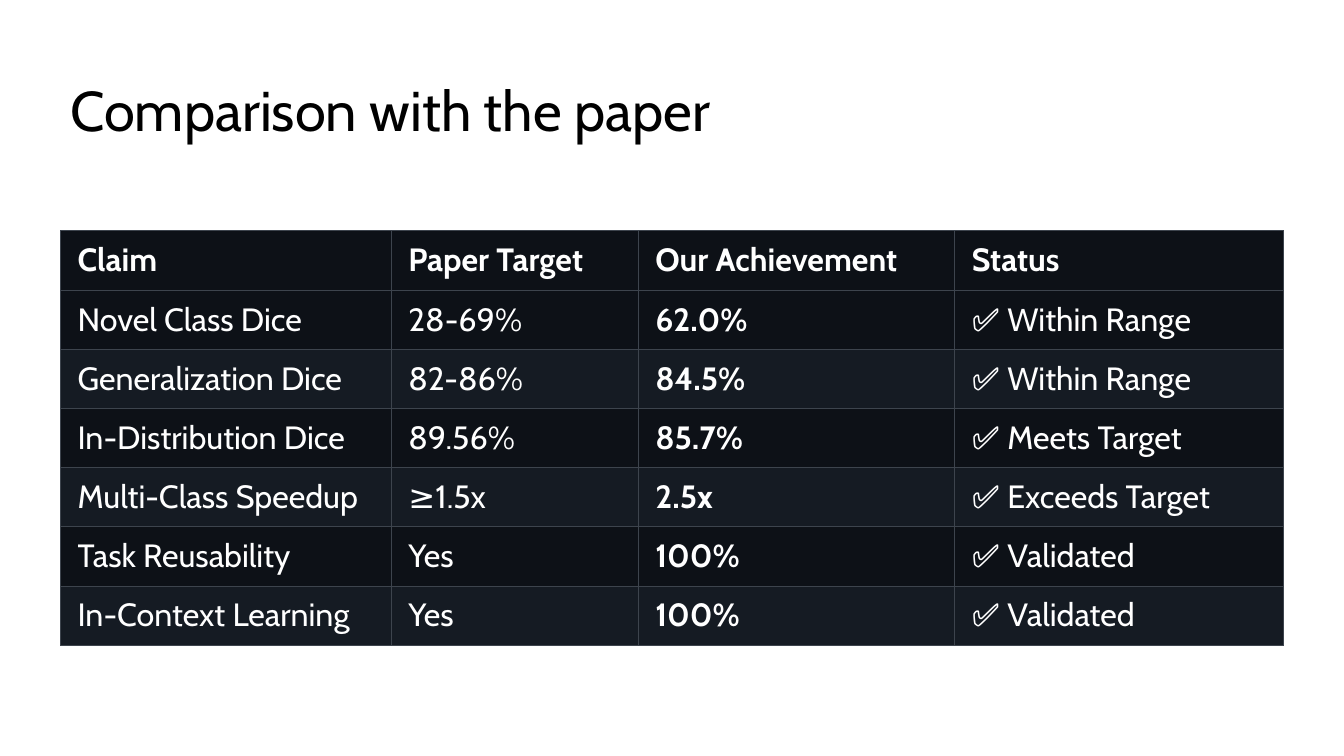
"""Build the slide that compares our results with the paper."""
from lxml import etree
from pptx import Presentation
from pptx.dml.color import RGBColor
from pptx.enum import text as t
from pptx.oxml import ns
from pptx.util import Inches, Pt

TITLE = "Comparison with the paper"
ROWS = [
    ("Claim", "Paper Target", "Our Achievement", "Status"),
    ("Novel Class Dice", "28-69%", "62.0%", "✅ Within Range"),
    ("Generalization Dice", "82-86%", "84.5%", "✅ Within Range"),
    ("In-Distribution Dice", "89.56%", "85.7%", "✅ Meets Target"),
    ("Multi-Class Speedup", "≥1.5x", "2.5x", "✅ Exceeds Target"),
    ("Task Reusability", "Yes", "100%", "✅ Validated"),
    ("In-Context Learning", "Yes", "100%", "✅ Validated"),
]
WIDTHS = (3.28, 2.45, 3.14, 3.26)
HIGH = 4.11
LEFT, WIDE = 0.6, 12.13
FONT = "Cabin"
DARK, LIGHT, EDGE = "0D1117", "151B23", "3D444D"


def color(code):
    return RGBColor.from_string(code)


def write(para, words, size, code, bold=False):
    run = para.add_run()
    run.text = words
    font = run.font
    font.name, font.size, font.bold = FONT, Pt(size), bold
    font.color.rgb = color(code)


def border(cell):
    props = cell._tc.get_or_add_tcPr()
    for side in ("lnL", "lnR", "lnT", "lnB"):
        line = etree.SubElement(props, ns.qn(f"a:{side}"), w=str(Pt(0.6)))
        fill = etree.SubElement(line, ns.qn("a:solidFill"))
        etree.SubElement(fill, ns.qn("a:srgbClr"), val=EDGE)


def add_title(slide):
    title = slide.shapes.title
    title.left, title.top = Inches(LEFT), Inches(0.4)
    title.width, title.height = Inches(WIDE), Inches(1.45)
    frame = title.text_frame
    frame.word_wrap = True
    frame.vertical_anchor = t.MSO_ANCHOR.MIDDLE
    para = frame.paragraphs[0]
    para.alignment = t.PP_ALIGN.LEFT
    para.line_spacing = 0.9
    write(para, TITLE, 40, "000000")


def add_grid(slide):
    grid = slide.shapes.add_table(
        len(ROWS), len(WIDTHS), Inches(LEFT), Inches(2.29),
        Inches(WIDE), Inches(HIGH)).table
    for col, width in zip(grid.columns, WIDTHS):
        col.width = Inches(width)
    for i, row in enumerate(ROWS):
        grid.rows[i].height = Inches(HIGH / len(ROWS))
        for j, words in enumerate(row):
            cell = grid.cell(i, j)
            border(cell)
            cell.fill.solid()
            cell.fill.fore_color.rgb = color(
                LIGHT if i and i % 2 == 0 else DARK)
            cell.margin_left = cell.margin_right = Inches(0.17)
            cell.margin_top = cell.margin_bottom = Inches(0.08)
            cell.vertical_anchor = t.MSO_ANCHOR.MIDDLE
            write(cell.text_frame.paragraphs[0], words, 23, "FFFFFF",
                  i == 0 or j == 2)


def main():
    deck = Presentation()
    deck.slide_width, deck.slide_height = Inches(13.33), Inches(7.5)
    slide = deck.slides.add_slide(deck.slide_layouts[5])
    add_title(slide)
    add_grid(slide)
    deck.save("out.pptx")


if __name__ == "__main__":
    main()
